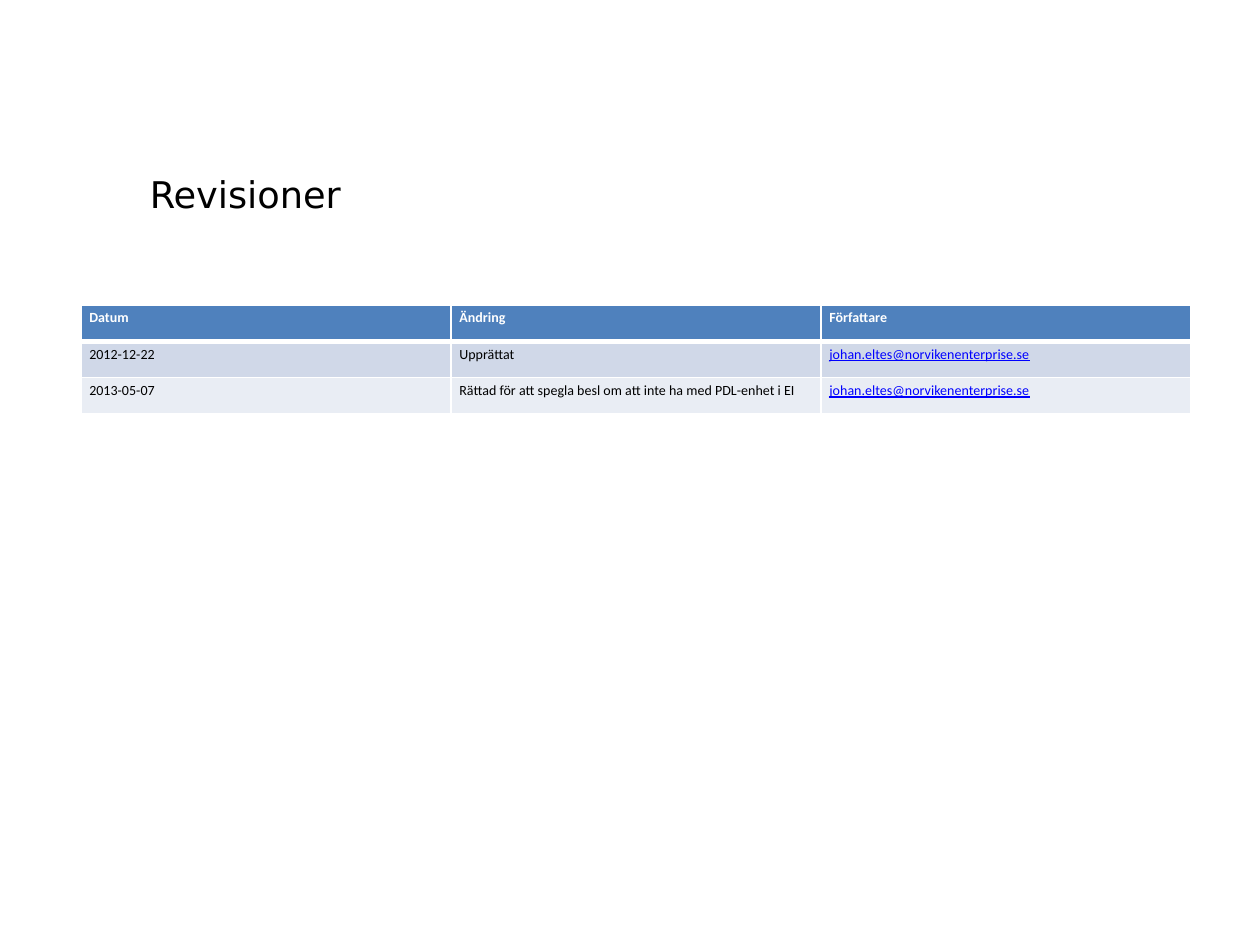
from lxml import etree
from pptx import Presentation
from pptx.dml.color import RGBColor
from pptx.enum.text import MSO_ANCHOR
from pptx.oxml.ns import qn
from pptx.util import Cm, Pt

TITLE = "Revisioner"
AUTHOR = "johan.eltes@norvikenenterprise.se"
REVISIONS = [
    ("Datum", "Ändring", "Författare"),
    ("2012-12-22", "Upprättat", AUTHOR),
    ("2013-05-07", "Rättad för att spegla besl om att inte ha med PDL-enhet i EI", AUTHOR),
]
ROW_FILLS = ["4F81BD", "D0D8E8", "E9EDF4"]
WHITE, BLACK, LINK_BLUE = "FFFFFF", "000000", "0000FF"
COLUMN_WIDTH, ROW_HEIGHT = Cm(7.46), Cm(0.73)


def color(value):
    return RGBColor.from_string(value)


def write(frame, text, font, size, ink, bold=False, underline=False):
    run = frame.paragraphs[0].add_run()
    run.text = text
    run.font.name = font
    run.font.size = Pt(size)
    run.font.color.rgb = color(ink)
    run.font.bold = bold
    run.font.underline = underline


def add_borders(cell, widths):
    properties = cell._tc.get_or_add_tcPr()
    for index, (side, width) in enumerate(widths.items()):
        line = etree.Element(qn("a:ln" + side), w=str(Pt(width)))
        fill = etree.SubElement(line, qn("a:solidFill"))
        etree.SubElement(fill, qn("a:srgbClr"), val=WHITE)
        properties.insert(index, line)


prs = Presentation()
prs.slide_width, prs.slide_height = Cm(25.4), Cm(19.05)
slide = prs.slides.add_slide(prs.slide_layouts[6])

title = slide.shapes.add_textbox(Cm(2.77), Cm(2.82), Cm(21.23), Cm(2.16)).text_frame
title.word_wrap = True
title.vertical_anchor = MSO_ANCHOR.MIDDLE
write(title, TITLE, "DejaVu Sans", 21, BLACK)

rows, columns = len(REVISIONS), len(REVISIONS[0])
table = slide.shapes.add_table(
    rows, columns, Cm(1.63), Cm(6.15), COLUMN_WIDTH * columns, ROW_HEIGHT * rows
).table
for column in table.columns:
    column.width = COLUMN_WIDTH

for r, revision in enumerate(REVISIONS):
    table.rows[r].height = ROW_HEIGHT
    header = r == 0
    for c, text in enumerate(revision):
        cell = table.cell(r, c)
        cell.margin_left = cell.margin_right = Cm(0.17)
        cell.margin_top = cell.margin_bottom = Cm(0.09)
        cell.fill.solid()
        cell.fill.fore_color.rgb = color(ROW_FILLS[r])
        add_borders(cell, {"L": 1, "R": 1, "T": 3 if r == 1 else 1, "B": 3 if header else 1})
        link = "@" in text
        ink = WHITE if header else LINK_BLUE if link else BLACK
        write(cell.text_frame, text, "Calibri", 8, ink, header, link)

prs.save("out.pptx")
